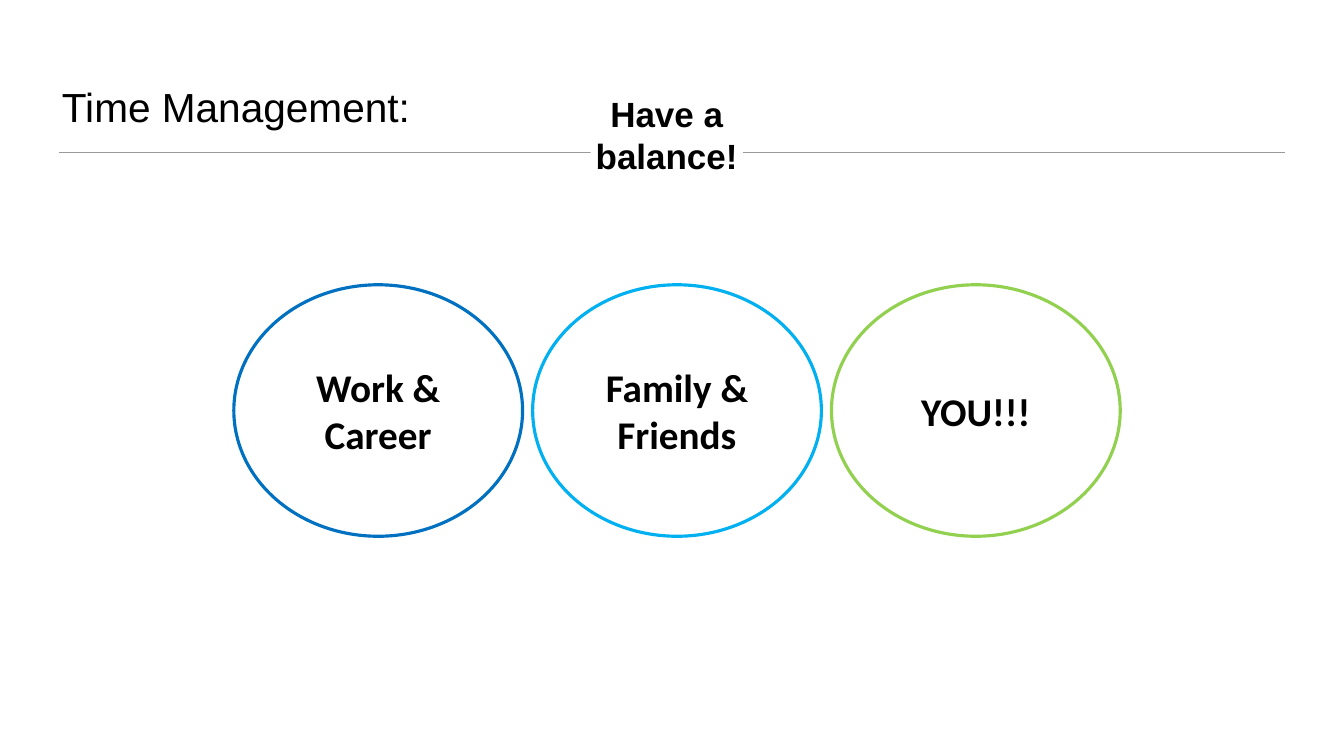
from lxml.etree import SubElement
from pptx import Presentation
from pptx.dml.color import RGBColor
from pptx.enum.shapes import MSO_CONNECTOR, MSO_SHAPE
from pptx.enum.text import MSO_ANCHOR, PP_ALIGN
from pptx.oxml.ns import qn
from pptx.util import Pt

EMU_PER_PX = 9144
BLACK = RGBColor(0x00, 0x00, 0x00)
WHITE = RGBColor(0xFF, 0xFF, 0xFF)
GREY = RGBColor(0x9A, 0x9A, 0x9A)
BLUE = RGBColor(0x00, 0x70, 0xC0)
SKY = RGBColor(0x00, 0xB0, 0xF0)
GREEN = RGBColor(0x92, 0xD0, 0x50)

AREAS = [("Work & Career", BLUE), ("Family & Friends", SKY), ("YOU!!!", GREEN)]
FIRST_LEFT, AREA_TOP, AREA_WIDTH, AREA_HEIGHT, AREA_PITCH = 464, 565, 573, 499, 593


def px(*lengths):
    """Turn px lengths into EMU."""
    return [length * EMU_PER_PX for length in lengths]


def set_text(shape, text, font_name, size, bold, alignment, anchor):
    """Write one wrapped black paragraph into a shape."""
    frame = shape.text_frame
    frame.word_wrap = True
    frame.vertical_anchor = anchor
    paragraph = frame.paragraphs[0]
    paragraph.text = text
    paragraph.alignment = alignment
    font = paragraph.font
    font.name, font.size, font.bold = font_name, Pt(size), bold
    font.color.rgb = BLACK


def add_label(slide, box, insets, text, size, bold, alignment, anchor):
    """Add an Arial text box with side and top-bottom insets and return it."""
    label = slide.shapes.add_textbox(*px(*box))
    frame = label.text_frame
    side, vertical = px(*insets)
    frame.margin_left = frame.margin_right = side
    frame.margin_top = frame.margin_bottom = vertical
    set_text(label, text, "Arial", size, bold, alignment, anchor)
    return label


def add_rule(slide, left, right, y):
    """Add the thin rule under the title."""
    rule = slide.shapes.add_connector(MSO_CONNECTOR.STRAIGHT, *px(left, y, right, y))
    rule.line.color.rgb = GREY
    rule.line.width = Pt(1)
    SubElement(rule._element.spPr, qn("a:effectLst"))


def add_area(slide, left, text, color):
    """Add one outlined ellipse for an area of life."""
    ellipse = slide.shapes.add_shape(
        MSO_SHAPE.OVAL, *px(left, AREA_TOP, AREA_WIDTH, AREA_HEIGHT))
    ellipse.shadow.inherit = False
    ellipse.fill.background()
    ellipse.line.color.rgb = color
    ellipse.line.width = Pt(4.5)
    set_text(ellipse, text, "Calibri", 56, True, PP_ALIGN.CENTER, MSO_ANCHOR.MIDDLE)


def main():
    """Build and save the time management slide."""
    presentation = Presentation()
    presentation.slide_width, presentation.slide_height = px(2667, 1500)
    slide = presentation.slides.add_slide(presentation.slide_layouts[6])
    add_rule(slide, 117, 2550, 303)
    add_label(slide, (117, 51, 2432, 215), (6, 6), "Time Management:",
              58, False, PP_ALIGN.LEFT, MSO_ANCHOR.BOTTOM)
    for index, (text, color) in enumerate(AREAS):
        add_area(slide, FIRST_LEFT + index * AREA_PITCH, text, color)
    slogan = add_label(slide, (1172, 178, 302, 176), (0, 5), "Have a balance!",
                       50, True, PP_ALIGN.CENTER, MSO_ANCHOR.TOP)
    slogan.fill.solid()
    slogan.fill.fore_color.rgb = WHITE
    presentation.save("out.pptx")


if __name__ == "__main__":
    main()
